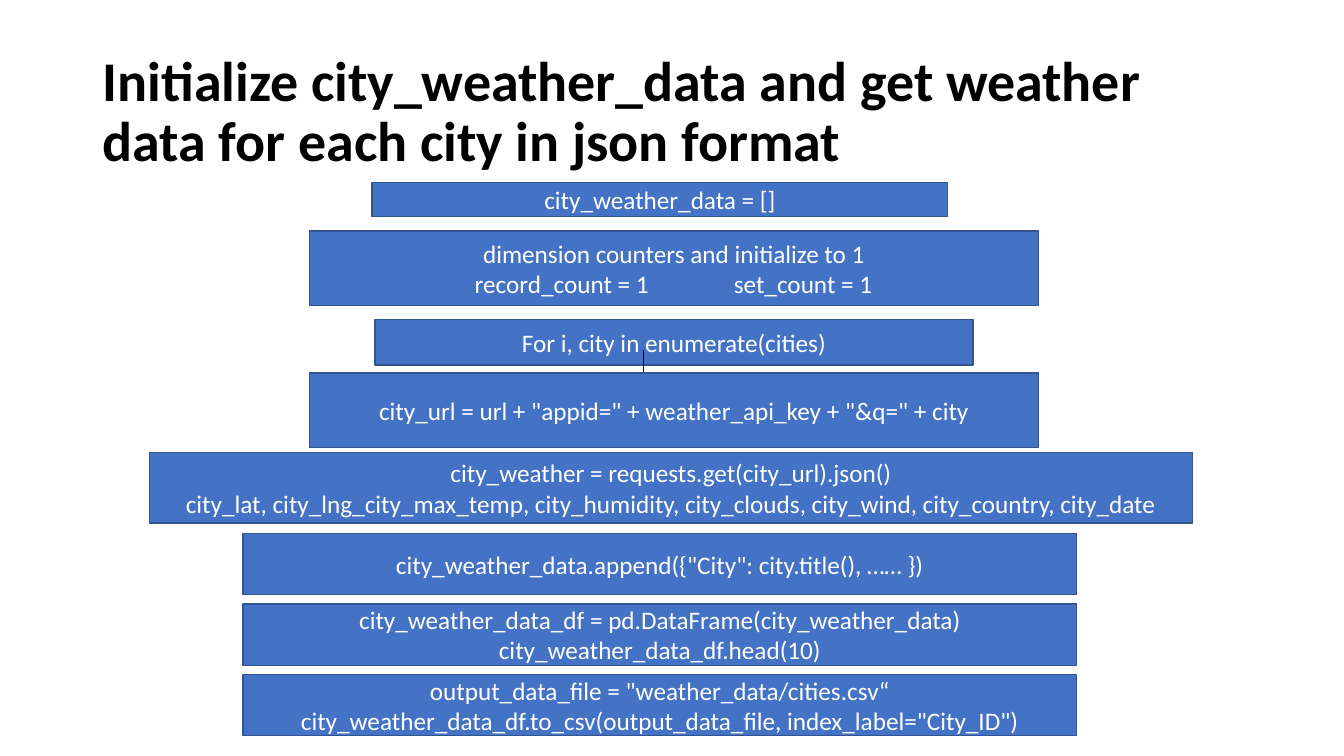
from lxml import etree
from pptx import Presentation
from pptx.dml.color import RGBColor
from pptx.enum.shapes import MSO_CONNECTOR, MSO_SHAPE
from pptx.enum.text import MSO_ANCHOR, PP_ALIGN
from pptx.oxml.ns import qn
from pptx.util import Inches, Pt

RECTANGLE = MSO_SHAPE.RECTANGLE
STRAIGHT = MSO_CONNECTOR.STRAIGHT
MIDDLE = MSO_ANCHOR.MIDDLE
LEFT = PP_ALIGN.LEFT
CENTER = PP_ALIGN.CENTER

FONT = "Calibri"
BLUE = "4472C4"
DARK_BLUE = "325491"
WHITE = "FFFFFF"
BLACK = "000000"

TITLE = "Initialize city_weather_data and get weather data for each city in json format"
COUNTER_STOPS = (1.54, 4.11)

SETUP_STEPS = [
    (3.69, 1.81, 5.71, 0.34, ["city_weather_data = []"]),
    (3.07, 2.29, 7.23, 0.74, [
        "dimension counters and initialize to 1",
        "\trecord_count = 1\tset_count = 1",
    ]),
    (3.72, 3.17, 5.93, 0.45, ["For i, city in enumerate(cities)"]),
]
REQUEST_STEPS = [
    (3.07, 3.7, 7.23, 0.74, ['city_url = url + "appid=" + weather_api_key + "&q=" + city']),
    (1.48, 4.49, 10.35, 0.7, [
        "city_weather = requests.get(city_url).json()",
        "city_lat, city_lng_city_max_temp, city_humidity, city_clouds, "
        "city_wind, city_country, city_date",
    ]),
]
OUTPUT_STEPS = [
    ['city_weather_data.append({"City": city.title(), …… })'],
    ["city_weather_data_df = pd.DataFrame(city_weather_data)", "city_weather_data_df.head(10)"],
    [
        'output_data_file = "weather_data/cities.csv“',
        'city_weather_data_df.to_csv(output_data_file, index_label="City_ID")',
    ],
]
OUTPUT_TOP = 5.29
OUTPUT_PITCH = 0.7


def color(value):
    return RGBColor.from_string(value)


def add_tab_stops(para, stops):
    properties = para._p.get_or_add_pPr()
    tab_list = etree.SubElement(properties, qn("a:tabLst"))
    for stop in stops:
        etree.SubElement(tab_list, qn("a:tab"), pos=str(Inches(stop)), algn="l")


def write_text(frame, lines, size=18, fill=WHITE, bold=False, align=CENTER, spacing=1.0):
    frame.word_wrap = True
    frame.vertical_anchor = MIDDLE
    for index, line in enumerate(lines):
        para = frame.paragraphs[0] if index == 0 else frame.add_paragraph()
        para.line_spacing = spacing
        para.alignment = align
        if "\t" in line:
            para.alignment = LEFT
            add_tab_stops(para, COUNTER_STOPS)
        span = para.add_run()
        span.text = line
        span.font.name = FONT
        span.font.size = Pt(size)
        span.font.bold = bold
        span.font.color.rgb = color(fill)


def add_title(page):
    box = page.shapes.add_textbox(Inches(0.92), Inches(0.4), Inches(11.5), Inches(1.45))
    write_text(box.text_frame, [TITLE], size=40, fill=BLACK, bold=True, align=LEFT, spacing=0.9)


def add_step(page, left, top, width, height, lines):
    box = page.shapes.add_shape(
        RECTANGLE, Inches(left), Inches(top), Inches(width), Inches(height)
    )
    box.shadow.inherit = False
    box.fill.solid()
    box.fill.fore_color.rgb = color(BLUE)
    box.line.color.rgb = color(DARK_BLUE)
    box.line.width = Pt(1)
    write_text(box.text_frame, lines)


def add_arrow(page, x, top, bottom):
    arrow = page.shapes.add_connector(
        STRAIGHT, Inches(x), Inches(top), Inches(x), Inches(bottom)
    )
    arrow.line.color.rgb = color(BLACK)
    arrow.line.width = Pt(0.5)
    etree.SubElement(arrow.line._get_or_add_ln(), qn("a:tailEnd"), type="triangle")
    etree.SubElement(arrow._element.spPr, qn("a:effectLst"))


def main():
    deck = Presentation()
    deck.slide_width = Inches(13.33)
    deck.slide_height = Inches(7.5)
    page = deck.slides.add_slide(deck.slide_layouts[6])

    add_title(page)
    for step in SETUP_STEPS:
        add_step(page, *step)
    add_arrow(page, 6.38, 3.47, 3.83)
    for step in REQUEST_STEPS:
        add_step(page, *step)
    for index, lines in enumerate(OUTPUT_STEPS):
        add_step(page, 2.41, OUTPUT_TOP + index * OUTPUT_PITCH, 8.27, 0.61, lines)

    deck.save("out.pptx")


if __name__ == "__main__":
    main()
